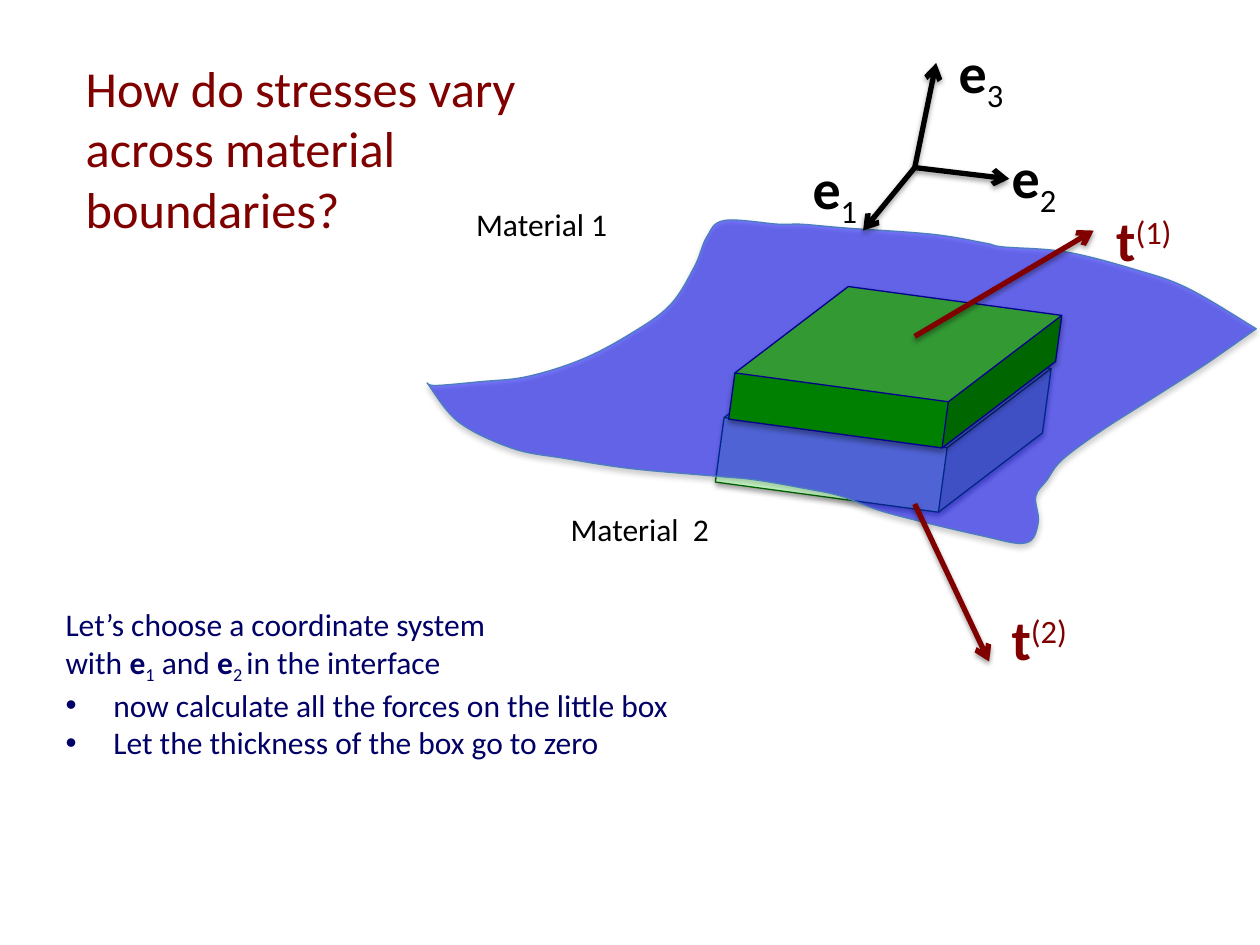
from pptx import Presentation
from pptx.dml.color import RGBColor
from pptx.enum.shapes import MSO_CONNECTOR, MSO_SHAPE
from pptx.enum.text import MSO_ANCHOR, MSO_AUTO_SIZE, PP_ALIGN
from pptx.oxml import parse_xml
from pptx.oxml.ns import nsdecls
from pptx.util import Inches, Pt

BLACK = RGBColor(0, 0, 0)
RED = RGBColor(0x80, 0, 0)
NAVY = RGBColor(0, 0, 0x66)
INK = RGBColor(0, 0, 0x90)
BLUE = RGBColor(0, 0, 0xFF)
STEEL = RGBColor(0x4B, 0x7E, 0xBC)
GREEN = RGBColor(0, 0x80, 0)
PALE = RGBColor(0xCC, 0xFF, 0xCC)
DARK = RGBColor(0, 0x66, 0)

LOWER = [(3.39, 3.04), (3.64, 3.35), (4.07, 3.56), (4.49, 3.64), (5.01, 3.72),
         (5.68, 3.78), (6, 3.81), (6.4, 3.88), (6.68, 3.94), (7.04, 4.07),
         (7.78, 4.25), (8.14, 4.31), (8.24, 4.15), (8.22, 3.94), (8.31, 3.81),
         (8.43, 3.65), (8.74, 3.42), (9.18, 3.14), (9.57, 2.89), (9.97, 2.61)]
UPPER = [(9.97, 2.61), (9.43, 2.29), (9.01, 2.14), (8.46, 2), (7.96, 1.96),
         (7.82, 1.93), (7.4, 1.86), (6.71, 1.81), (6.36, 1.78), (6.18, 1.78),
         (5.75, 1.75), (5.61, 1.88), (5.51, 2.12), (5.31, 2.43), (4.97, 2.67),
         (4.6, 2.86), (4.18, 2.99), (3.81, 3.03), (3.46, 3.06), (3.39, 3.04)]
HUB = (7.26, 1.33)


def write(par, text, size=18, color=BLACK, bold=False, base=0):
    """Add a run of text to a paragraph."""
    run = par.add_run()
    run.text = text
    font = run.font
    font.name, font.size, font.bold = "Calibri", Pt(size), bold
    font.color.rgb = color
    if base:
        run._r.get_or_add_rPr().set("baseline", str(base * 1000))


def bends(knots):
    """Return the Bezier points of each span of a smooth curve."""
    ends = [knots[0], *knots, knots[-1]]
    return [[tuple(q + (r - p) / 6 for p, q, r in zip(a, b, c)),
             tuple(r - (s - q) / 6 for q, r, s in zip(b, c, d)), c]
            for a, b, c, d in zip(ends, ends[1:], ends[2:], ends[3:])]


class Sketch:
    """Hold the slide and the style of its parts."""

    def __init__(self, slide):
        self.slide = slide
        self.shapes = slide.shapes

    def place(self, shape, left, top, width, height):
        """Move and size a shape."""
        shape.left, shape.top = Inches(left), Inches(top)
        shape.width, shape.height = Inches(width), Inches(height)
        return shape.text_frame

    def shade(self, shape, alpha=35, dist=1.8):
        """Give a shape a soft shadow."""
        shape._element.spPr.append(parse_xml(
            f'<a:effectLst {nsdecls("a")}><a:outerShdw blurRad="{Pt(3.1)}" '
            f'dist="{Pt(dist)}" dir="5400000" rotWithShape="0">'
            f'<a:srgbClr val="000000"><a:alpha val="{alpha * 1000}"/>'
            '</a:srgbClr></a:outerShdw></a:effectLst>'))

    def paint(self, shape, fill, line):
        """Set fill, outline and shadow."""
        shape.fill.solid()
        shape.fill.fore_color.rgb = fill
        shape.line.color.rgb = line
        shape.line.width = Pt(0.75)
        self.shade(shape)

    def cube(self, box, depth, fill, line):
        """Draw a tilted block."""
        shape = self.shapes.add_shape(MSO_SHAPE.CUBE, *map(Inches, box))
        shape.adjustments[0] = depth
        shape.rotation = 7.7
        self.paint(shape, fill, line)

    def sheet(self, edges, fill, line, alpha):
        """Draw a see-through outline with smooth edges."""
        first, *rest = [tuple(map(Inches, knot)) for edge in edges for knot in edge[1:]]
        start = tuple(map(Inches, edges[0][0]))
        pen = self.shapes.build_freeform(*start)
        pen.add_line_segments([first, *rest], close=True)
        shape = pen.convert_to_shape()
        self.paint(shape, fill, line)
        spans = [span for edge in edges for span in bends(edge)]
        for node, span in zip(shape._element.spPr.findall(".//{*}lnTo"), spans):
            dots = "".join(f'<a:pt x="{Inches(x) - shape.left}" '
                           f'y="{Inches(y) - shape.top}"/>' for x, y in span)
            node.getparent().replace(node, parse_xml(
                f'<a:cubicBezTo {nsdecls("a")}>{dots}</a:cubicBezTo>'))
        tint = shape._element.spPr.find(".//{*}solidFill/{*}srgbClr")
        tint.append(parse_xml(f'<a:alpha {nsdecls("a")} val="{alpha * 1000}"/>'))

    def arrow(self, start, tip, color):
        """Draw an arrow to its tip."""
        line = self.shapes.add_connector(
            MSO_CONNECTOR.STRAIGHT, *map(Inches, (*start, *tip)))
        line.line.color.rgb = color
        line.line.width = Pt(3)
        line.line._get_or_add_ln().append(
            parse_xml(f'<a:tailEnd {nsdecls("a")} type="arrow"/>'))
        self.shade(line, 38, 1.6)

    def label(self, box, text, mark="", base=0, **form):
        """Add a label with a raised or lowered mark."""
        frame = self.shapes.add_textbox(*map(Inches, box)).text_frame
        frame.word_wrap = False
        frame.auto_size = MSO_AUTO_SIZE.SHAPE_TO_FIT_TEXT
        par = frame.paragraphs[0]
        write(par, text, bold=bool(mark), **form)
        if mark:
            write(par, mark, base=base, **form)

    def title(self, box, text):
        """Fill the title."""
        frame = self.place(self.shapes.title, *box)
        frame.word_wrap = True
        frame.vertical_anchor = MSO_ANCHOR.MIDDLE
        par = frame.paragraphs[0]
        par.alignment = PP_ALIGN.LEFT
        write(par, text, size=28.8, color=RED)

    def body(self, box, rows):
        """Fill the body with plain and bulleted rows."""
        frame = self.place(self.slide.placeholders[1], *box)
        frame.word_wrap = True
        for i, (dot, runs) in enumerate(rows):
            par = frame.add_paragraph() if i else frame.paragraphs[0]
            par.space_before = Pt(0)
            indent = Inches(0.38) if dot else 0
            props = par._p.get_or_add_pPr()
            props.set("marL", str(indent))
            props.set("indent", str(-indent))
            kind = 'buChar char="•"' if dot else "buNone"
            props.append(parse_xml(f'<a:{kind} {nsdecls("a")}/>'))
            for text, form in runs:
                write(par, text, color=NAVY, **form)


def main():
    """Build the slide."""
    deck = Presentation()
    deck.slide_width, deck.slide_height = Inches(10), Inches(7.5)
    art = Sketch(deck.slides.add_slide(deck.slide_layouts[1]))
    art.title((0.58, 0.42, 4.5, 1.5),
              "How do stresses vary across material boundaries?")
    art.cube((5.75, 2.75, 2.52, 1.25), 0.587, PALE, DARK)
    art.sheet((LOWER, UPPER), BLUE, STEEL, 52)
    art.cube((5.85, 2.33, 2.51, 1.17), 0.684, GREEN, INK)
    for tip in (7.43, 0.5), (8.01, 1.42), (6.85, 1.83):
        art.arrow(HUB, tip, BLACK)
    art.arrow((7.26, 2.67), (8.68, 1.83), RED)
    art.arrow((7.26, 4), (7.85, 5.25), RED)
    for left, top, mark in (8.76, 1.58, "(1)"), (7.93, 4.75, "(2)"):
        art.label((left, top, 0.7, 0.64), "t", mark, 30, size=32, color=RED)
    art.label((3.68, 1.58, 1.59, 0.5), "Material 1")
    art.label((4.43, 4, 1.68, 0.5), "Material  2")
    for left, top, mark in (7.51, 0.25, "3"), (6.35, 1.17, "1"), (7.93, 1.08, "2"):
        art.label((left, top, 0.58, 0.64), "e", mark, -25, size=32)
    bold, sub = {"bold": True}, {"base": -25}
    art.body((0.42, 4.75, 6.47, 1.72), [
        (False, [("Let’s choose a coordinate system", {})]),
        (False, [("with ", {}), ("e", bold), ("1", sub), (" and ", {}),
                 ("e", bold), ("2 ", sub), ("in the interface", {})]),
        (True, [("now calculate all the forces on the little box", {})]),
        (True, [("Let the thickness of the box go to zero", {})])])
    deck.save("out.pptx")


if __name__ == "__main__":
    main()
